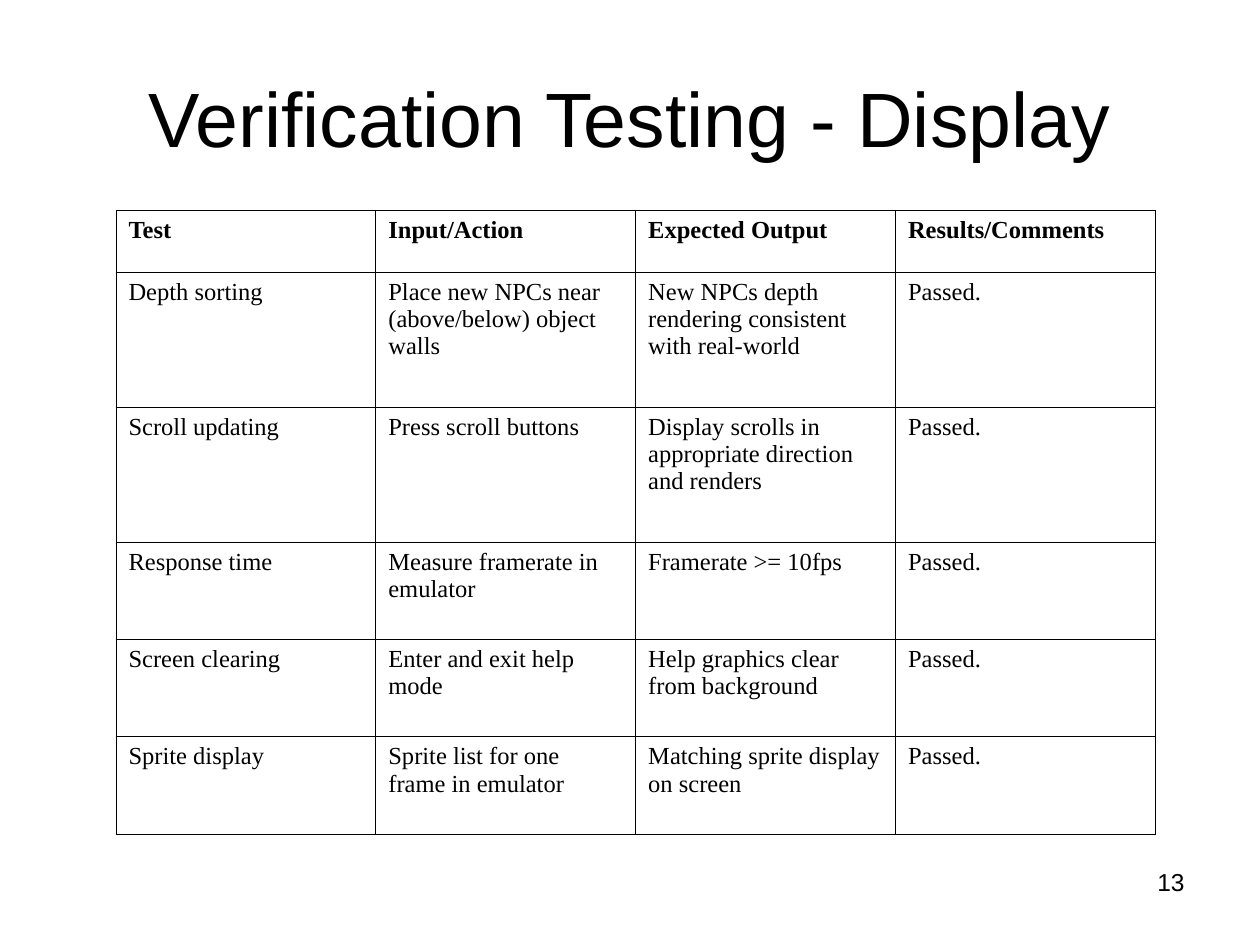
from lxml import etree
from pptx import Presentation, util as u
from pptx.dml import color
from pptx.enum import text
from pptx.oxml import ns

COLUMNS, ROWS = 100, 75
UNIT = u.Inches(10) // COLUMNS
INK = "000000"
INSETS = {
    "margin_left": u.Inches(0.1),
    "margin_right": u.Inches(0.1),
    "margin_top": u.Inches(0.05),
    "margin_bottom": u.Inches(0.05),
}
TITLE_FONT = {"name": "Arial", "size": u.Pt(44)}
NUMBER_FONT = {"name": "Arial", "size": u.Pt(14)}
CELL_FONT = {"name": "Times New Roman", "size": u.Pt(14)}

TESTS = [
    ("Test", "Input/Action", "Expected Output", "Results/Comments"),
    ("Depth sorting", "Place new NPCs near (above/below) object walls",
     "New NPCs depth rendering consistent with real-world", "Passed."),
    ("Scroll updating", "Press scroll buttons",
     "Display scrolls in appropriate direction and renders", "Passed."),
    ("Response time", "Measure framerate in emulator",
     "Framerate >= 10fps", "Passed."),
    ("Screen clearing", "Enter and exit help mode",
     "Help graphics clear from background", "Passed."),
    ("Sprite display", "Sprite list for one frame in emulator",
     "Matching sprite display on screen", "Passed."),
]
ROW_SHARES = (4.9, 10.7, 10.7, 7.7, 7.7, 7.7)


def grid(*cells):
    return [round(cell * UNIT) for cell in cells]


def apply(target, values):
    for name, value in values.items():
        setattr(target, name, value)


def paint(target, value):
    target.rgb = color.RGBColor.from_string(value)


def write(para, words, font):
    span = para.add_run()
    span.text = words
    apply(span.font, font)
    paint(span.font.color, INK)


def add_text(page, area, words, font, align, anchor):
    box = page.shapes.add_textbox(*grid(*area))
    frame = box.text_frame
    apply(frame, {**INSETS, "word_wrap": True, "vertical_anchor": anchor})
    para = frame.paragraphs[0]
    para.alignment = align
    write(para, words, font)


def add_borders(cell, value, width):
    properties = cell._tc.get_or_add_tcPr()
    for position, side in enumerate(("lnL", "lnR", "lnT", "lnB")):
        line = etree.Element(ns.qn(f"a:{side}"), w=str(u.Pt(width)))
        fill = etree.SubElement(line, ns.qn("a:solidFill"))
        etree.SubElement(fill, ns.qn("a:srgbClr"), val=value)
        properties.insert(position, line)


def add_results(page, area, records, shares):
    left, top, width, height = grid(*area)
    table = page.shapes.add_table(
        len(records), len(records[0]), left, top, width, height).table
    apply(table, {"first_row": False, "horz_banding": False})
    for row, share in zip(table.rows, shares):
        row.height = round(height * share / sum(shares))
    for row_index, record in enumerate(records):
        for column_index, words in enumerate(record):
            cell = table.cell(row_index, column_index)
            apply(cell, INSETS)
            cell.fill.background()
            add_borders(cell, INK, 0.45)
            write(cell.text_frame.paragraphs[0], words,
                  {**CELL_FONT, "bold": row_index == 0})


def main():
    deck = Presentation()
    apply(deck, {"slide_width": COLUMNS * UNIT, "slide_height": ROWS * UNIT})
    page = deck.slides.add_slide(deck.slide_layouts[6])
    add_text(page, (5, 3, 90, 12.5), "Verification Testing - Display",
             TITLE_FONT, text.PP_ALIGN.CENTER, text.MSO_ANCHOR.MIDDLE)
    add_results(page, (9.2, 16.7, 82.5, 49.5), TESTS, ROW_SHARES)
    add_text(page, (71.7, 68.3, 23.3, 5.2), "13",
             NUMBER_FONT, text.PP_ALIGN.RIGHT, text.MSO_ANCHOR.TOP)
    deck.save("out.pptx")


if __name__ == "__main__":
    main()
